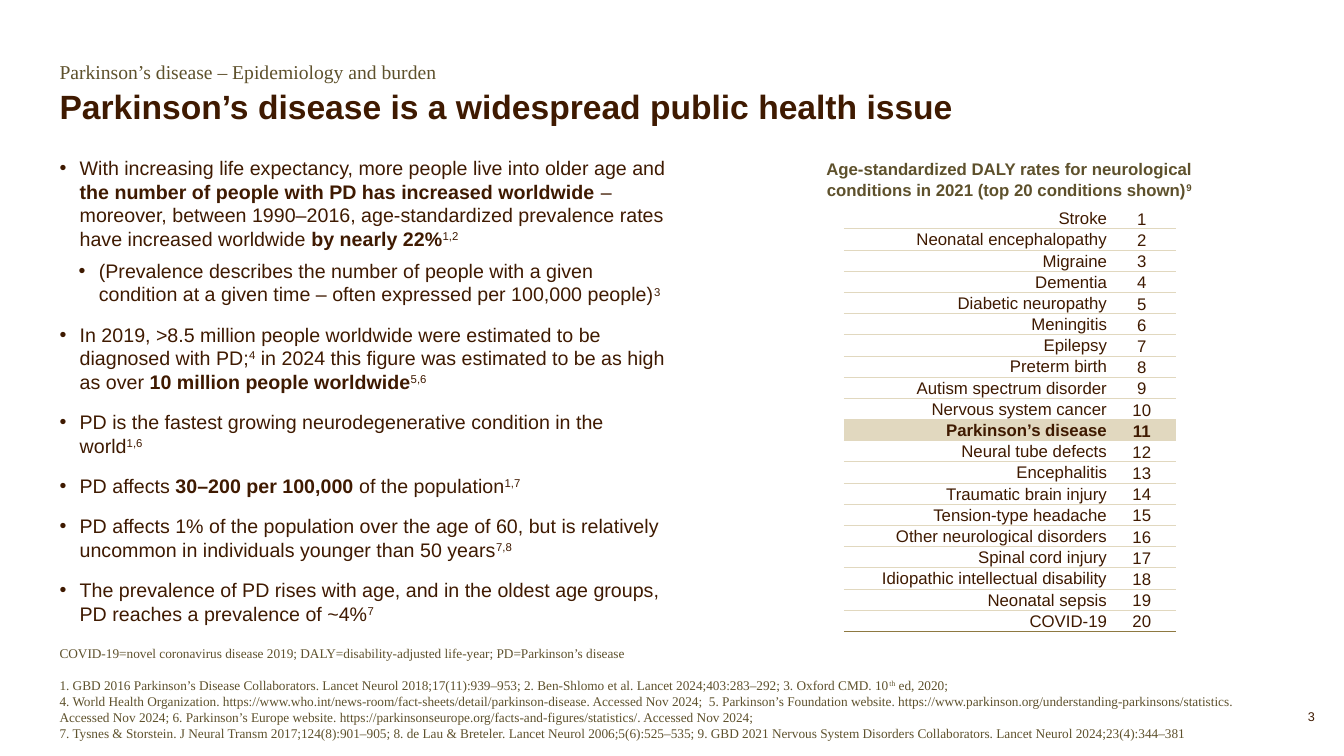
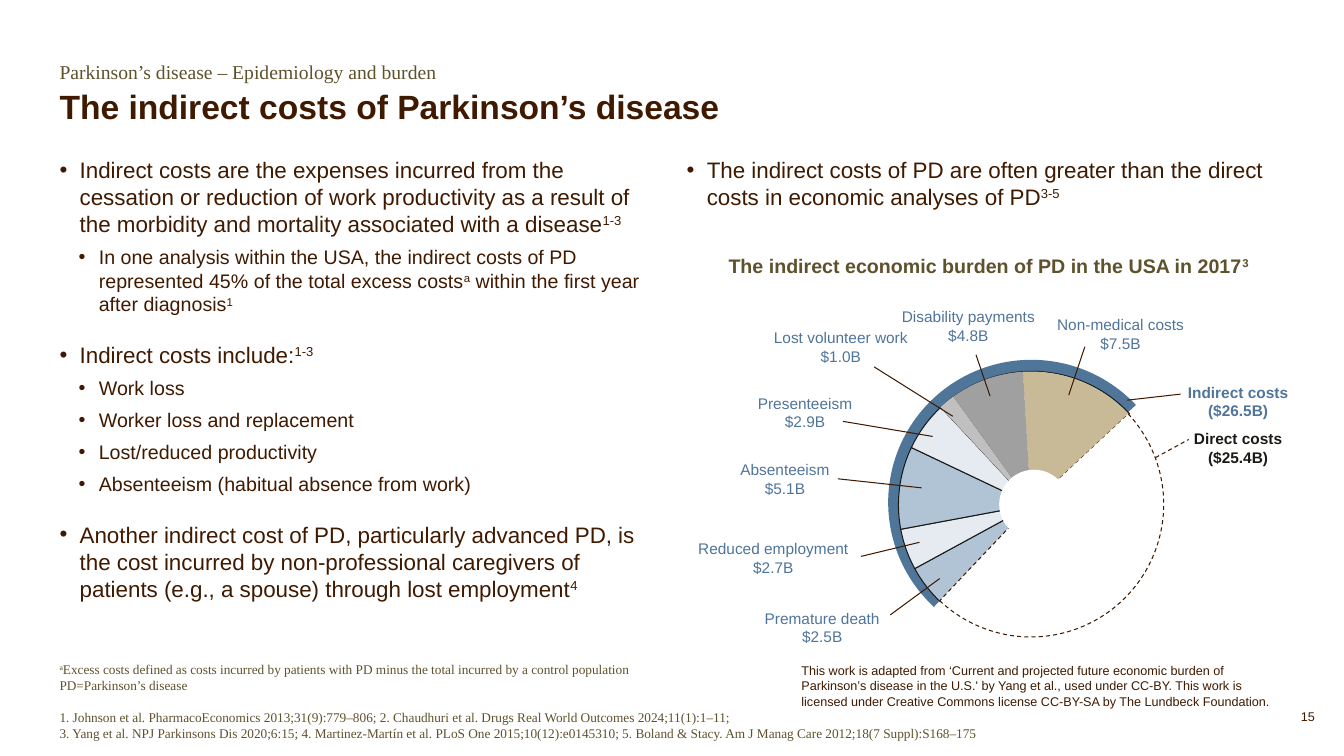
from lxml import etree
from pptx import Presentation
from pptx.chart.data import CategoryChartData
from pptx.dml.color import RGBColor
from pptx.enum.chart import XL_CHART_TYPE
from pptx.enum.dml import MSO_LINE
from pptx.enum.shapes import MSO_CONNECTOR, MSO_SHAPE
from pptx.enum.text import MSO_ANCHOR, MSO_AUTO_SIZE, PP_ALIGN
from pptx.oxml.ns import qn
from pptx.util import Inches, Pt

LEFT, CENTER, RIGHT = PP_ALIGN.LEFT, PP_ALIGN.CENTER, PP_ALIGN.RIGHT
TOP, MIDDLE, BOTTOM = MSO_ANCHOR.TOP, MSO_ANCHOR.MIDDLE, MSO_ANCHOR.BOTTOM
DASH = MSO_LINE.DASH
SANS, SERIF = "Arial", "Times New Roman"
BROWN, OLIVE, BLUE, BLACK, WHITE = "3F1A01", "5E512C", "4F7599", "1A1A17", "FFFFFF"
SAND, GOLD = "E1D8BF", "8E7941"
PALE_BLUE, ICE, SILVER, GREY, TAN = "B0C4D6", "E5EBF1", "C0C0C0", "A0A0A0", "C9BA97"
NO_TABLE_STYLE = "{2D5ABB26-0587-4C30-8999-92F81FD0307C}"
MARGIN = 0.59
BODY_TOP = 1.55
LAYOUT_COMPARISON = 4
EYEBROW, BODY, REFERENCES, SECOND_BODY = 1, 2, 3, 4

TOPIC = "Parkinson’s disease – Epidemiology and burden"

BURDEN_POINTS = [
    (0, "With increasing life expectancy, more people live into older age and *the number of people with PD "
        "has increased worldwide *– moreover, between 1990–2016, age-standardized prevalence rates have "
        "increased worldwide *by nearly 22%*^1,2^"),
    (1, "(Prevalence describes the number of people with a given condition at a given time – often "
        "expressed per 100,000 people)^3^"),
    (0, "In 2019, >8.5 million people worldwide were estimated to be diagnosed with PD;^4^ in 2024 this "
        "figure was estimated to be as high as over *10 million people worldwide*^5,6^"),
    (0, "PD is the fastest growing neurodegenerative condition in the world^1,6^"),
    (0, "PD affects *30–200 per 100,000 *of the population^1,7^"),
    (0, "PD affects 1% of the population over the age of 60, but is relatively uncommon in individuals "
        "younger than 50 years^7,8^"),
    (0, "The prevalence of PD rises with age, and in the oldest age groups, PD reaches a prevalence of ~4%^7^"),
]
BURDEN_NOTES = [
    "COVID-19=novel coronavirus disease 2019; DALY=disability-adjusted life-year; PD=Parkinson’s disease",
    "1. GBD 2016 Parkinson’s Disease Collaborators. Lancet Neurol 2018;17(11):939–953; 2. Ben-Shlomo et al. "
    "Lancet 2024;403:283–292; 3. Oxford CMD. 10^th^ ed, 2020;\n"
    "4. World Health Organization. https://www.who.int/news-room/fact-sheets/detail/parkinson-disease. "
    "Accessed Nov 2024;  5. Parkinson’s Foundation website. "
    "https://www.parkinson.org/understanding-parkinsons/statistics. Accessed Nov 2024; "
    "6. Parkinson’s Europe website. https://parkinsonseurope.org/facts-and-figures/statistics/. "
    "Accessed Nov 2024; \n"
    "7. Tysnes & Storstein. J Neural Transm 2017;124(8):901–905; 8. de Lau & Breteler. Lancet Neurol "
    "2006;5(6):525–535; 9. GBD 2021 Nervous System Disorders Collaborators. Lancet Neurol 2024;23(4):344–381",
]
CONDITIONS = [
    "Stroke", "Neonatal encephalopathy", "Migraine", "Dementia", "Diabetic neuropathy", "Meningitis",
    "Epilepsy", "Preterm birth", "Autism spectrum disorder", "Nervous system cancer", "Parkinson’s disease",
    "Neural tube defects", "Encephalitis", "Traumatic brain injury", "Tension-type headache",
    "Other neurological disorders", "Spinal cord injury", "Idiopathic intellectual disability",
    "Neonatal sepsis", "COVID-19",
]
COST_POINTS = [
    (0, "Indirect costs are the expenses incurred from the cessation or reduction of work productivity as a "
        "result of the morbidity and mortality associated with a disease^1-3^"),
    (1, "In one analysis within the USA, the indirect costs of PD represented 45% of the total excess "
        "costs^a^ within the first year after diagnosis^1^"),
    (0, "Indirect costs include:^1-3^"),
    (1, "Work loss"),
    (1, "Worker loss and replacement"),
    (1, "Lost/reduced productivity"),
    (1, "Absenteeism (habitual absence from work)"),
    (0, "Another indirect cost of PD, particularly advanced PD, is the cost incurred by non-professional "
        "caregivers of patients (e.g., a spouse) through lost employment^4^"),
]
COMPARISON_POINTS = [
    (0, "The indirect costs of PD are often greater than the direct costs in economic analyses of PD^3-5^"),
]
COST_NOTES = [
    "^a^Excess costs defined as costs incurred by patients with PD minus the total incurred by a control "
    "population\nPD=Parkinson’s disease",
    "1. Johnson et al. PharmacoEconomics 2013;31(9):779–806; 2. Chaudhuri et al. Drugs Real World Outcomes "
    "2024;11(1):1–11; \n3. Yang et al. NPJ Parkinsons Dis 2020;6:15; 4. Martinez-Martín et al. PLoS One "
    "2015;10(12):e0145310; 5. Boland & Stacy. Am J Manag Care 2012;18(7 Suppl):S168–175",
]
ADAPTATION_CREDIT = (
    "This work is adapted from ‘Current and projected future economic burden of Parkinson’s disease in the "
    "U.S.' by Yang et al., used under CC-BY. This work is licensed under Creative Commons license CC-BY-SA "
    "by The Lundbeck Foundation."
)
COST_SHARES = [49, 5, 5, 10, 6, 2, 9, 14]
BASE_SLICES = [(WHITE, None)] + [(PALE_BLUE, BLACK), (ICE, BLACK)] * 3 + [(PALE_BLUE, BLACK)]
OVERLAY_SLICES = [(WHITE, BROWN)] + [(None, None)] * 4 + [(SILVER, None), (GREY, None), (TAN, None)]
COST_LABELS = [
    ("Premature death\n$2.5B", (7.48, 5.99, 1.35, 0.47), (9.32, 5.74, 8.83, 6.1)),
    ("Reduced employment\n$2.7B", (6.82, 5.3, 1.7, 0.47), (9.12, 5.38, 8.54, 5.52)),
    ("Absenteeism\n$5.1B", (7.24, 4.52, 1.09, 0.47), (9.14, 4.84, 8.31, 4.75)),
    ("Presenteeism\n$2.9B", (7.41, 3.86, 1.15, 0.47), (9.25, 4.33, 8.36, 4.18)),
    ("Lost volunteer work\n$1.0B", (7.57, 3.21, 1.54, 0.47), (9.45, 4.13, 8.67, 3.64)),
    ("Disability payments\n$4.8B", (8.84, 3, 1.53, 0.47), (9.82, 3.93, 9.68, 3.52)),
    ("Non-medical costs\n$7.5B", (10.38, 3.08, 1.47, 0.47), (10.6, 3.92, 10.76, 3.44)),
    ("*Indirect costs\n($26.5B)*", (11.68, 3.75, 1.2, 0.47), (11.18, 3.97, 11.71, 3.91)),
]


def rgb(color):
    return RGBColor.from_string(color)


def inches(*lengths):
    return [Inches(length) for length in lengths]


def paint(fill, color):
    if color is None:
        fill.background()
    else:
        fill.solid()
        fill.fore_color.rgb = rgb(color)


def write(paragraph, text, *, size, color=BROWN, font=SANS, bold=False, align=LEFT, before=0, spacing=1.0):
    paragraph.alignment = align
    paragraph.space_before = Pt(before)
    paragraph.line_spacing = spacing
    for i, weighted in enumerate(text.split("*")):
        for j, piece in enumerate(weighted.split("^")):
            for k, line in enumerate(piece.split("\n")):
                if k:
                    paragraph.add_line_break()
                if not line:
                    continue
                run = paragraph.add_run()
                run.text = line
                run.font.size, run.font.name = Pt(size), font
                run.font.bold = bold or i % 2 == 1
                run.font.color.rgb = rgb(color)
                if j % 2:
                    run.font._element.set("baseline", "30000")


def set_bullet(paragraph, level):
    paragraph.level = level
    properties = paragraph._p.get_or_add_pPr()
    properties.set("marL", str(Inches(0.39 if level else 0.2)))
    properties.set("indent", str(Inches(-0.2)))
    etree.SubElement(properties, qn("a:buChar")).set("char", "•")


def set_frame(frame, anchor=TOP, inset=(0, 0), wrap=True):
    frame.auto_size = MSO_AUTO_SIZE.NONE
    frame.word_wrap = wrap
    frame.vertical_anchor = anchor
    frame.margin_left = frame.margin_right = Inches(inset[0])
    frame.margin_top = frame.margin_bottom = Inches(inset[1])


def place(placeholder, box, anchor=TOP):
    placeholder.left, placeholder.top, placeholder.width, placeholder.height = inches(*box)
    set_frame(placeholder.text_frame, anchor)
    return placeholder.text_frame


def paragraphs(frame, count):
    return [frame.paragraphs[0]] + [frame.add_paragraph() for _ in range(count - 1)]


def fill_bullets(placeholder, box, points, sizes, gap):
    frame = place(placeholder, box)
    for i, (paragraph, (level, text)) in enumerate(zip(paragraphs(frame, len(points)), points)):
        set_bullet(paragraph, level)
        write(paragraph, text, size=sizes[level], before=0 if i == 0 else 6 if level else gap)


def add_text(slide, box, text, *, inset=(0.1, 0.05), wrap=True, **style):
    frame = slide.shapes.add_textbox(*inches(*box)).text_frame
    set_frame(frame, inset=inset, wrap=wrap)
    write(frame.paragraphs[0], text, **style)


def add_base_slide(deck, title, number, notes, notes_width):
    slide = deck.slides.add_slide(deck.slide_layouts[LAYOUT_COMPARISON])
    eyebrow = place(slide.placeholders[EYEBROW], (MARGIN, 0.59, 10.08, 0.29))
    write(eyebrow.paragraphs[0], TOPIC, size=14, font=SERIF, color=OLIVE)
    heading = place(slide.shapes.title, (MARGIN, 0.9, 10.08, 0.36), BOTTOM)
    write(heading.paragraphs[0], title, size=24, bold=True, spacing=0.9)
    references = place(slide.placeholders[REFERENCES], (MARGIN, 6.67, notes_width, 0.68), BOTTOM)
    for i, (paragraph, note) in enumerate(zip(paragraphs(references, len(notes)), notes)):
        write(paragraph, note, size=9.5, font=SERIF, color=OLIVE, before=11 if i else 0)
    add_text(slide, (12.39, 7.03, 0.65, 0.17), str(number), inset=(0, 0), size=9, align=RIGHT)
    return slide


def add_border(cell, side, color, width):
    border = etree.SubElement(cell._tc.get_or_add_tcPr(), qn("a:ln" + side), w=str(Pt(width)))
    etree.SubElement(etree.SubElement(border, qn("a:solidFill")), qn("a:srgbClr"), val=color)


def add_ranking(slide, box, conditions, highlighted):
    table = slide.shapes.add_table(len(conditions), 2, *inches(*box)).table
    table.first_row = table.horz_banding = False
    table._tbl.tblPr.find(qn("a:tableStyleId")).text = NO_TABLE_STYLE
    table.columns[0].width, table.columns[1].width = inches(2.62, 0.67)
    for rank, condition in enumerate(conditions, 1):
        table.rows[rank - 1].height = Inches(box[3] / len(conditions))
        is_highlighted = condition == highlighted
        bottom_border = (GOLD, 1.5) if rank == len(conditions) else (SAND, 0.75)
        columns = [(condition, RIGHT, MIDDLE), (str(rank), CENTER, BOTTOM)]
        for column, (text, align, anchor) in enumerate(columns):
            cell = table.cell(rank - 1, column)
            cell.margin_left = cell.margin_right = cell.margin_top = Inches(0.01)
            cell.margin_bottom = 0
            cell.vertical_anchor = anchor
            if rank > 1:
                add_border(cell, "T", SAND, 0.75)
            add_border(cell, "B", *bottom_border)
            paint(cell.fill, SAND if is_highlighted else None)
            write(cell.text_frame.paragraphs[0], text, size=12, bold=is_highlighted, align=align)


def add_plain_shape(slide, preset, box, color):
    shape = slide.shapes.add_shape(preset, *inches(*box))
    shape.shadow.inherit = False
    paint(shape.fill, color)
    shape.line.fill.background()
    return shape


def add_leader(slide, ends, dash=None):
    leader = slide.shapes.add_connector(MSO_CONNECTOR.STRAIGHT, *inches(*ends))
    leader.line.color.rgb = rgb(BROWN)
    leader.line.width = Pt(0.75)
    leader.line.dash_style = dash
    etree.SubElement(leader._element.spPr, qn("a:effectLst"))


def set_pie_layout(chart, start_angle, **fractions):
    plot_area = chart.element.find(".//" + qn("c:plotArea"))
    for layout in plot_area.findall(qn("c:layout")):
        plot_area.remove(layout)
    layout = etree.Element(qn("c:layout"))
    plot_area.insert(0, layout)
    manual = etree.SubElement(layout, qn("c:manualLayout"))
    settings = {"layoutTarget": "inner", "xMode": "edge", "yMode": "edge", **fractions}
    for tag, value in settings.items():
        etree.SubElement(manual, qn("c:" + tag), val=str(value))
    pie = plot_area.find(qn("c:pieChart"))
    etree.SubElement(pie, qn("c:firstSliceAng"), val=str(start_angle))
    background = etree.Element(qn("c:spPr"))
    etree.SubElement(background, qn("a:noFill"))
    etree.SubElement(etree.SubElement(background, qn("a:ln")), qn("a:noFill"))
    chart.element.find(qn("c:chart")).addnext(background)


def add_cost_pie(slide, box, slices):
    data = CategoryChartData()
    data.categories = [str(i) for i in range(1, len(COST_SHARES) + 1)]
    data.add_series("Series 1", COST_SHARES)
    chart = slide.shapes.add_chart(XL_CHART_TYPE.PIE, *inches(*box), data).chart
    chart.has_legend = chart.has_title = False
    chart.font.name, chart.font.size, chart.font.bold = SANS, Pt(12), True
    chart.font.color.rgb = rgb(WHITE)
    plot = chart.plots[0]
    plot.vary_by_categories = True
    for i, (color, outline) in enumerate(slices):
        slice_format = plot.series[0].points[i].format
        paint(slice_format.fill, color)
        paint(slice_format.line.fill, outline)
        if outline:
            slice_format.line.width = Pt(0.75)
            slice_format.line.dash_style = DASH if outline == BROWN else None
    set_pie_layout(chart, 47, x=0.137, y=0.005, w=0.71, h=0.985)


def build_burden_slide(deck):
    slide = add_base_slide(deck, "Parkinson’s disease is a widespread public health issue", 3, BURDEN_NOTES, 11.8)
    fill_bullets(slide.placeholders[BODY], (MARGIN, BODY_TOP, 6.08, 4.83), BURDEN_POINTS, (14, 14), 12)
    unused = slide.placeholders[SECOND_BODY].element
    unused.getparent().remove(unused)
    add_text(slide, (7.75, 1.53, 4.52, 0.5),
             "Age-standardized DALY rates for neurological conditions in 2021 (top 20 conditions shown)^9^",
             size=12, color=OLIVE, bold=True, align=CENTER)
    add_ranking(slide, (8.37, 2.06, 3.29, 4.21), CONDITIONS, "Parkinson’s disease")


def build_cost_slide(deck):
    slide = add_base_slide(deck, "The indirect costs of Parkinson’s disease", 15, COST_NOTES, 10.08)
    fill_bullets(slide.placeholders[BODY], (MARGIN, BODY_TOP, 5.93, 4.83), COST_POINTS, (16, 14), 18)
    fill_bullets(slide.placeholders[SECOND_BODY], (6.81, BODY_TOP, 5.93, 0.75), COMPARISON_POINTS, (16, 14), 18)
    add_text(slide, (7.11, 2.47, 5.39, 0.34), "The indirect economic burden of PD in the USA in 2017^3^",
             wrap=False, size=14, color=OLIVE, bold=True, align=CENTER)
    indirect_arc = add_plain_shape(slide, MSO_SHAPE.PIE, (8.81, 3.57, 2.84, 2.83), BLUE)
    indirect_arc.adjustments[0], indirect_arc.adjustments[1] = 79.8, 190.2
    add_cost_pie(slide, (8.4, 3.67, 3.73, 2.69), BASE_SLICES)
    add_cost_pie(slide, (8.4, 3.67, 3.71, 2.68), OVERLAY_SLICES)
    add_plain_shape(slide, MSO_SHAPE.OVAL, (9.91, 4.66, 0.69, 0.69), WHITE)
    for text, box, ends in COST_LABELS:
        add_text(slide, box, text, wrap=False, size=11, color=BLUE, align=CENTER)
        add_leader(slide, ends)
    add_text(slide, (11.74, 4.21, 1.08, 0.47), "Direct costs\n($25.4B)",
             wrap=False, size=11, color=BLACK, bold=True, align=CENTER)
    add_leader(slide, (11.46, 4.54, 11.79, 4.36), DASH)
    add_text(slide, (7.85, 6.53, 4.98, 0.56), ADAPTATION_CREDIT, size=9)


def main():
    deck = Presentation()
    deck.slide_width, deck.slide_height = inches(13.33, 7.5)
    build_burden_slide(deck)
    build_cost_slide(deck)
    deck.save("out.pptx")


if __name__ == "__main__":
    main()
